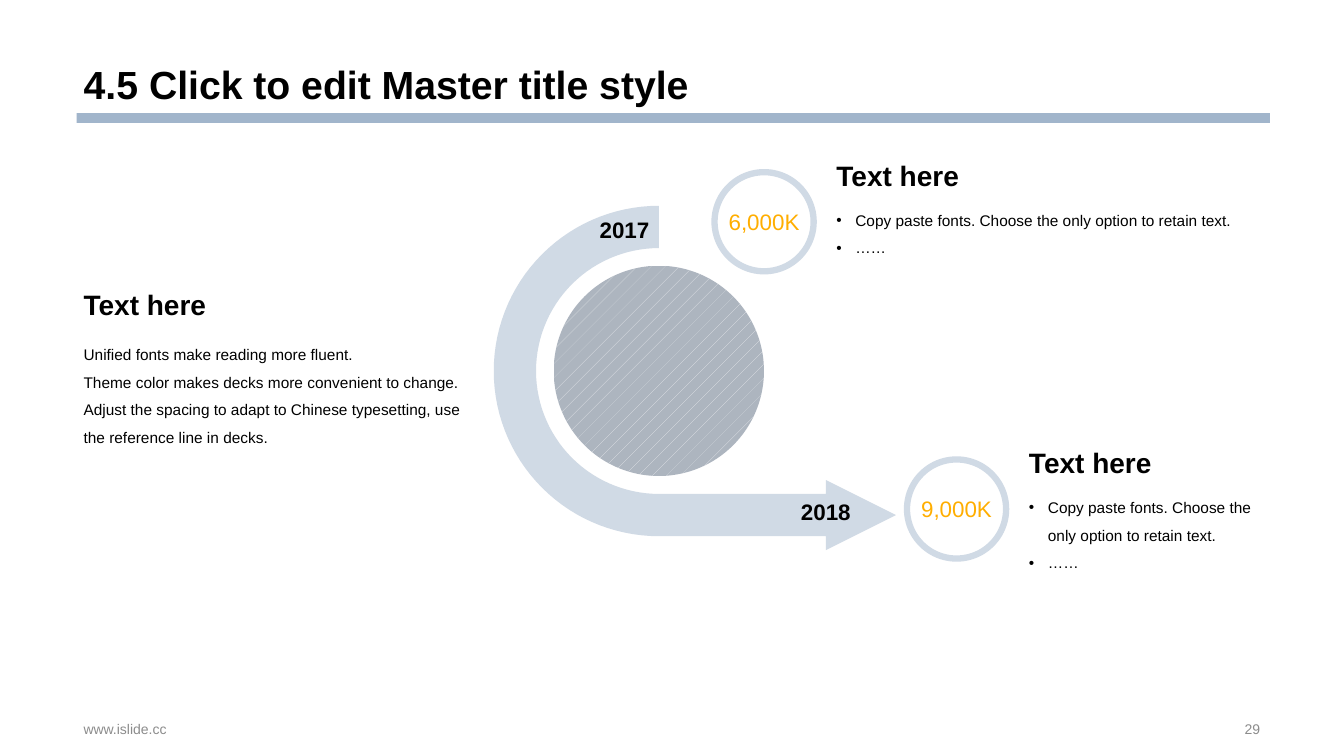
"""Build a timeline slide with a curved arrow and two yearly callouts."""
from dataclasses import dataclass
from math import cos, pi, sin

from lxml import etree
from pptx import Presentation
from pptx.dml.color import RGBColor as Color
from pptx.enum.dml import MSO_PATTERN as Pattern
from pptx.enum.shapes import MSO_SHAPE as Shape
from pptx.enum.text import MSO_ANCHOR as Anchor, PP_ALIGN as Align
from pptx.oxml.ns import qn
from pptx.util import Pt


@dataclass(frozen=True)
class Theme:
    font: str = "Arial"
    ink: str = "000000"
    muted: str = "8C8C8C"
    accent: str = "FFAE00"
    rule: str = "A1B5CB"
    pale: str = "D0DAE5"
    paper: str = "FFFFFF"
    disc: str = "ADB5BF"
    hatch: str = "E4E6EA"
    title_size: float = 28
    heading_size: float = 20
    label_size: float = 16
    body_size: float = 11
    footer_size: float = 10
    ring_width: float = 4.5


def color(code):
    return Color.from_string(code)


def write(frame, text, *, font, size, ink, bold=False, align=Align.LEFT,
          anchor=Anchor.TOP, spacing=1.0, bullet=None, indent=13.5, wrap=True):
    frame.word_wrap = wrap
    frame.vertical_anchor = anchor
    for index, line in enumerate(text.split("\n")):
        para = frame.paragraphs[0] if index == 0 else frame.add_paragraph()
        if bullet:
            properties = para._p.get_or_add_pPr()
            properties.set("marL", str(Pt(indent)))
            properties.set("indent", str(-Pt(indent)))
            etree.SubElement(properties, qn("a:buFont"), typeface=font)
            etree.SubElement(properties, qn("a:buChar"), char=bullet)
        para.alignment = align
        para.line_spacing = spacing
        para.space_before = Pt(0)
        span = para.add_run()
        span.text = line
        span.font.name = font
        span.font.size = Pt(size)
        span.font.bold = bold
        span.font.color.rgb = color(ink)


class SlideBuilder:
    def __init__(self, slide, theme):
        self.slide = slide
        self.theme = theme

    def title(self, text, *area):
        box = self.slide.shapes.title
        box.left, box.top, box.width, box.height = map(Pt, area)
        write(box.text_frame, text, font=self.theme.font, ink=self.theme.ink,
              size=self.theme.title_size, bold=True, anchor=Anchor.BOTTOM, spacing=0.9)

    def text(self, text, *area, size, ink=None, **style):
        box = self.slide.shapes.add_textbox(*map(Pt, area))
        write(box.text_frame, text, font=self.theme.font, size=size,
              ink=ink or self.theme.ink, **style)

    def heading(self, text, *area, **style):
        self.text(text, *area, size=self.theme.heading_size, bold=True, **style)

    def body(self, text, *area, **style):
        self.text(text, *area, size=self.theme.body_size, spacing=1.5, **style)

    def year(self, text, *area, align):
        self.text(text, *area, size=self.theme.label_size, bold=True, align=align,
                  anchor=Anchor.MIDDLE, wrap=False)

    def footer(self, text, *area, align=Align.LEFT):
        self.text(text, *area, size=self.theme.footer_size, ink=self.theme.muted,
                  align=align, anchor=Anchor.MIDDLE)

    def shape(self, kind, *area, fill):
        shape = self.slide.shapes.add_shape(kind, *map(Pt, area))
        return self.paint(shape, fill)

    def paint(self, shape, fill):
        shape.shadow.inherit = False
        shape.fill.solid()
        shape.fill.fore_color.rgb = color(fill)
        shape.line.fill.background()
        return shape

    def hatched_disc(self, *area):
        disc = self.shape(Shape.OVAL, *area, fill=self.theme.disc)
        disc.fill.patterned()
        disc.fill.pattern = Pattern.PERCENT_5
        disc.fill.fore_color.rgb = color(self.theme.hatch)
        disc.fill.back_color.rgb = color(self.theme.disc)

    def ring(self, text, *area):
        ring = self.shape(Shape.OVAL, *area, fill=self.theme.paper)
        ring.line.color.rgb = color(self.theme.pale)
        ring.line.width = Pt(self.theme.ring_width)
        write(ring.text_frame, text, font=self.theme.font, size=self.theme.label_size,
              ink=self.theme.accent, align=Align.CENTER, anchor=Anchor.MIDDLE, wrap=False)

    def curved_arrow(self, center_x, center_y, outer, inner, neck, tip, head, steps=60):
        def arc(radius):
            angles = [pi * step / steps for step in range(steps + 1)]
            return [(center_x - radius * sin(angle), center_y - radius * cos(angle))
                    for angle in angles]

        middle = center_y + (outer + inner) / 2
        points = arc(inner) + [
            (neck, center_y + inner), (neck, middle - head / 2), (tip, middle),
            (neck, middle + head / 2), (neck, center_y + outer),
        ] + arc(outer)[::-1]
        outline = [(Pt(x), Pt(y)) for x, y in points]
        builder = self.slide.shapes.build_freeform(*outline[0])
        builder.add_line_segments(outline[1:], close=True)
        self.paint(builder.convert_to_shape(), self.theme.pale)

    def callout(self, amount, left, top, width, body_height):
        self.ring(amount, left - 80, top + 17.2, 70.8, 70.8)
        self.heading("Text here", left, top, width, 34.6, anchor=Anchor.BOTTOM)
        self.body("Copy paste fonts. Choose the only option to retain text.\n……",
                  left, top + 34.6, width, body_height, bullet="•")


def main():
    deck = Presentation()
    deck.slide_width, deck.slide_height = Pt(960), Pt(540)
    page = SlideBuilder(deck.slides.add_slide(deck.slide_layouts[5]), Theme())
    margin, right_edge = 52.6, 907.2

    page.shape(Shape.RECTANGLE, 54.7, 80.8, 852.5, 7, fill=page.theme.rule)
    page.title("4.5 Click to edit Master title style", margin, 0, right_edge - margin, 80.6)
    page.footer("www.islide.cc", margin, 512.6, 326, 16.6)
    page.footer("29", 678.2, 512.6, 229, 16.6, align=Align.RIGHT)

    page.curved_arrow(470.7, 265, outer=118, inner=87.8, neck=590, tip=640, head=50)
    page.hatched_disc(395.5, 189.8, 150.2, 150.2)
    page.year("2017", 414, 146.9, 56.9, 34.6, align=Align.RIGHT)
    page.year("2018", 561.4, 347.8, 56.9, 34.6, align=Align.CENTER)

    page.heading("Text here", margin, 201.6, 287.3, 34.6)
    page.body("Unified fonts make reading more fluent.\n"
              "Theme color makes decks more convenient to change.\n"
              "Adjust the spacing to adapt to Chinese typesetting, use the reference line in decks.",
              margin, 236.2, 287.3, 91.4)

    for amount, left, top, body_height in (("6,000K", 590.4, 105.8, 61.2),
                                           ("9,000K", 727.9, 311, 83.5)):
        page.callout(amount, left, top, right_edge - left, body_height)

    deck.save("out.pptx")


if __name__ == "__main__":
    main()
